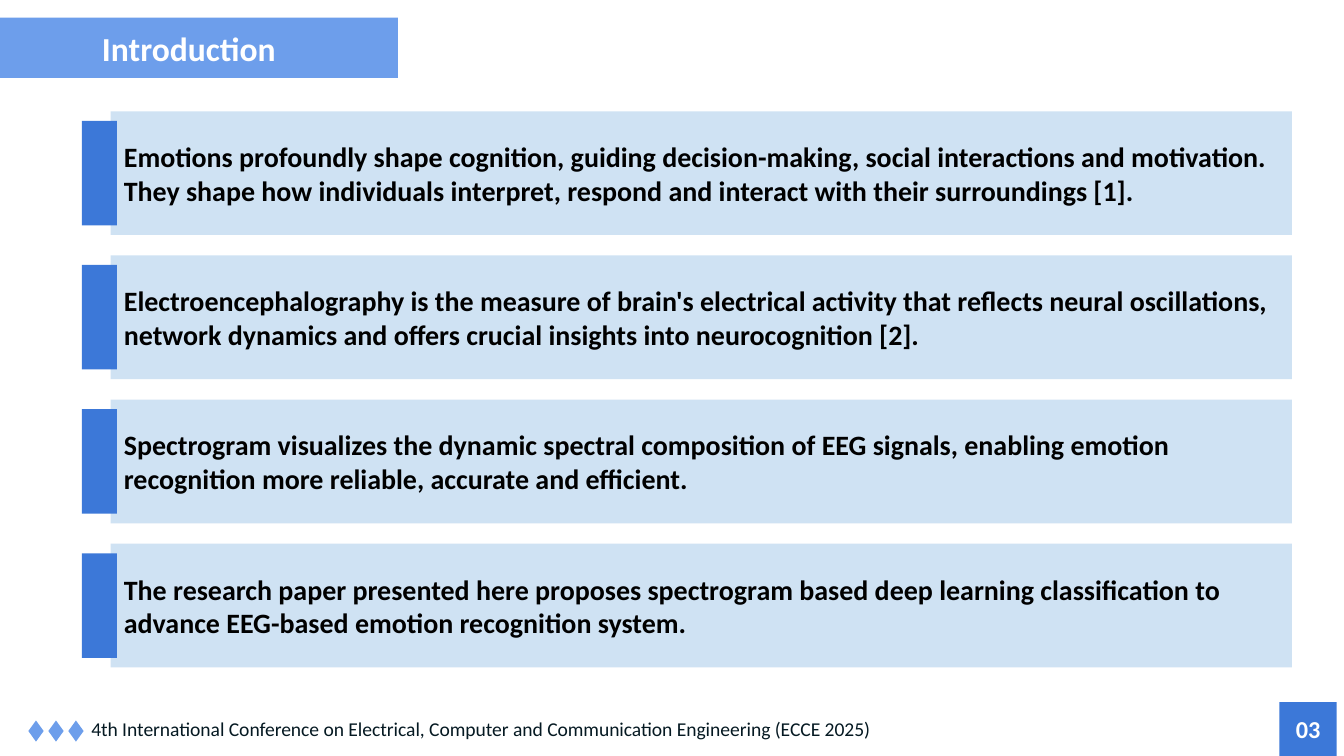
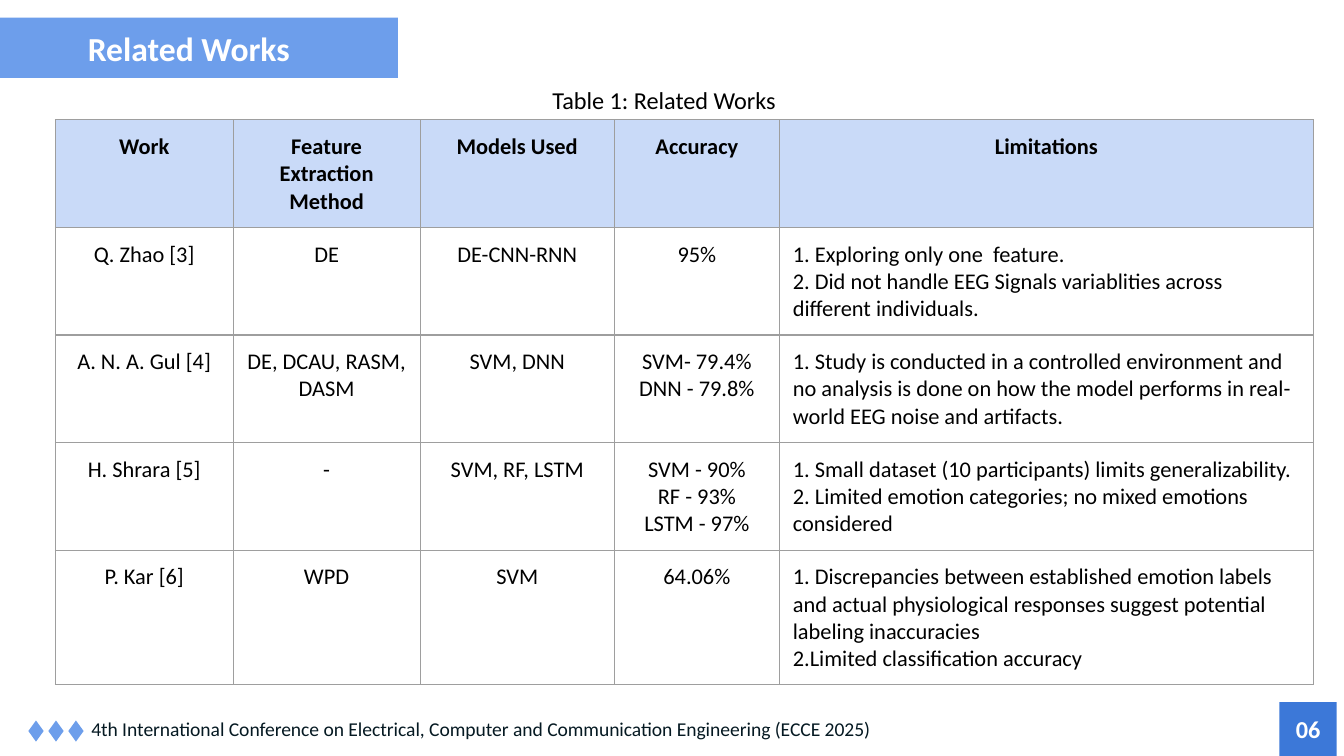
from dataclasses import dataclass

from lxml import etree
from pptx import Presentation
from pptx.dml.color import RGBColor
from pptx.enum import shapes, text
from pptx.oxml import ns
from pptx.util import Pt


@dataclass(frozen=True)
class Theme:
    font: str = "Calibri"
    strong: str = "3C78D8"
    band: str = "6D9EEB"
    card: str = "CFE2F3"
    header: str = "C9DAF8"
    grid: str = "9E9E9E"
    white: str = "FFFFFF"
    ink: str = "000000"
    footer_ink: str = "051922"
    title_size: float = 18
    card_size: float = 15
    label_size: float = 13
    table_size: float = 12
    footer_size: float = 10.5
    inset: float = 7.2
    grid_width: float = 0.75


@dataclass(frozen=True)
class Box:
    left: float
    top: float
    width: float
    height: float

    def inner(self, dx, dy, width, height):
        return Box(self.left + dx, self.top + dy, width, height)

    def points(self):
        return [Pt(v) for v in (self.left, self.top, self.width, self.height)]


THEME = Theme()
SLIDE = Box(0, 0, 720, 405)
TITLE = Box(-10.8, 9.4, 224, 32.4)
PAGE_BADGE = Box(685.4, 376.2, 30.7, 28.8)
FOOTER = Box(15.2, 378, 645.6, 27.4)
CARDS = Box(43.9, 59.6, 648.2, 298)
CAPTION = Box(218.2, 38.4, 275, 30.2)
TABLE = Box(29.7, 64.2, 674, 150)

LEFT, CENTER = text.PP_ALIGN.LEFT, text.PP_ALIGN.CENTER
CONFERENCE = ("4th International Conference on Electrical, Computer and "
              "Communication Engineering (ECCE 2025)")
STATEMENTS = [
    "Emotions profoundly shape cognition, guiding decision-making, social "
    "interactions and motivation. They shape how individuals interpret, "
    "respond and interact with their surroundings [1].",
    "Electroencephalography is the measure of brain's electrical activity that "
    "reflects neural oscillations, network dynamics and offers crucial insights "
    "into neurocognition [2].",
    "Spectrogram visualizes the dynamic spectral composition of EEG signals, "
    "enabling emotion recognition more reliable, accurate and efficient.",
    "The research paper presented here proposes spectrogram based deep learning "
    "classification to advance EEG-based emotion recognition system.",
]
COLUMN_WIDTHS = [95.2, 100.2, 104.1, 88.4, 286.1]
RELATED_WORKS = [
    ["Work", "Feature Extraction Method", "Models Used", "Accuracy", "Limitations"],
    ["Q. Zhao [3]", "DE", "DE-CNN-RNN", "95%",
     "1. Exploring only one  feature.\n"
     "2. Did not handle EEG Signals variablities across different individuals."],
    ["A. N. A. Gul [4]", "DE, DCAU, RASM, DASM", "SVM, DNN",
     "SVM- 79.4%\nDNN - 79.8%",
     "1. Study is conducted in a controlled environment and no analysis is done "
     "on how the model performs in real-world EEG noise and artifacts."],
    ["H. Shrara [5]", "-", "SVM, RF, LSTM", "SVM - 90%\nRF - 93%\nLSTM - 97%",
     "1. Small dataset (10 participants) limits generalizability.\n"
     "2. Limited emotion categories; no mixed emotions considered"],
    ["P. Kar [6]", "WPD", "SVM", "64.06%",
     "1. Discrepancies between established emotion labels and actual "
     "physiological responses suggest potential labeling inaccuracies\n"
     "2.Limited classification accuracy"],
]


def rgb(value):
    return RGBColor.from_string(value)


def write(frame, words, size, color, bold=False, align=LEFT):
    frame.text = words
    for paragraph in frame.paragraphs:
        paragraph.alignment = align
        for run in paragraph.runs:
            run.font.name = THEME.font
            run.font.size = Pt(size)
            run.font.bold = bold
            run.font.color.rgb = rgb(color)


def set_margins(holder):
    holder.margin_left = holder.margin_right = Pt(THEME.inset)
    holder.margin_top = holder.margin_bottom = Pt(THEME.inset)


def add_block(parent, box, fill, kind=shapes.MSO_SHAPE.RECTANGLE):
    block = parent.add_shape(kind, *box.points())
    block.shadow.inherit = False
    block.fill.solid()
    block.fill.fore_color.rgb = rgb(fill)
    block.line.fill.background()
    return block


def add_panel(parent, box, fill, words, size, color, align=CENTER):
    """Filled rectangle with bold, vertically centred text."""
    frame = add_block(parent, box, fill).text_frame
    set_margins(frame)
    frame.word_wrap = True
    frame.vertical_anchor = text.MSO_ANCHOR.MIDDLE
    write(frame, words, size, color, True, align)


def add_label(parent, box, words, size, color, align=LEFT):
    frame = parent.add_textbox(*box.points()).text_frame
    set_margins(frame)
    frame.word_wrap = True
    frame.auto_size = text.MSO_AUTO_SIZE.SHAPE_TO_FIT_TEXT
    write(frame, words, size, color, align=align)


def add_footer(slide, box):
    footer = slide.shapes.add_group_shape().shapes
    for i in range(3):
        add_block(footer, box.inner(i * 10.7, 8, 8.2, 11.3), THEME.band,
                  shapes.MSO_SHAPE.DIAMOND)
    add_label(footer, box.inner(26.6, 0, box.width - 26.6, box.height),
              CONFERENCE, THEME.footer_size, THEME.footer_ink)


def add_slide(deck, title, number):
    """Blank slide with the shared title band, page badge and footer."""
    slide = deck.slides.add_slide(deck.slide_layouts[6])
    slide.background.fill.solid()
    slide.background.fill.fore_color.rgb = rgb(THEME.white)
    add_panel(slide.shapes, PAGE_BADGE, THEME.strong, number,
              THEME.label_size, THEME.white)
    add_panel(slide.shapes, TITLE, THEME.band, title,
              THEME.title_size, THEME.white)
    add_footer(slide, FOOTER)
    return slide


def add_statement_cards(slide, box, statements):
    """Stack equal cards down the box, each with an accent on its left edge."""
    card_height, accent_height, indent = 66.3, 56, 15.4
    pitch = (box.height - card_height) / (len(statements) - 1)
    for i, statement in enumerate(statements):
        top = i * pitch
        add_panel(slide.shapes,
                  box.inner(indent, top, box.width - indent, card_height),
                  THEME.card, statement, THEME.card_size, THEME.ink, LEFT)
        accent_top = top + (card_height - accent_height) / 2
        add_block(slide.shapes, box.inner(0, accent_top, 18.7, accent_height),
                  THEME.strong)


def set_borders(cell):
    properties = cell._tc.get_or_add_tcPr()
    for position, side in enumerate(("lnL", "lnR", "lnT", "lnB")):
        line = etree.Element(ns.qn(f"a:{side}"), w=str(Pt(THEME.grid_width)))
        fill = etree.SubElement(line, ns.qn("a:solidFill"))
        etree.SubElement(fill, ns.qn("a:srgbClr"), val=THEME.grid)
        properties.insert(position, line)


def add_works_table(slide, box, rows):
    works = slide.shapes.add_table(len(rows), len(rows[0]), *box.points()).table
    works.horz_banding = False
    for column, width in zip(works.columns, COLUMN_WIDTHS):
        column.width = Pt(width)
    for r, row in enumerate(rows):
        is_header = r == 0
        for c, words in enumerate(row):
            cell = works.cell(r, c)
            set_margins(cell)
            is_limitation = not is_header and c == len(row) - 1
            write(cell.text_frame, words, THEME.table_size, THEME.ink,
                  is_header, LEFT if is_limitation else CENTER)
            if is_header:
                cell.fill.solid()
                cell.fill.fore_color.rgb = rgb(THEME.header)
            else:
                cell.fill.background()
            set_borders(cell)


def build_introduction(deck):
    slide = add_slide(deck, "Introduction", "03")
    add_statement_cards(slide, CARDS, STATEMENTS)


def build_related_works(deck):
    slide = add_slide(deck, "Related Works", "06")
    add_works_table(slide, TABLE, RELATED_WORKS)
    add_label(slide.shapes, CAPTION, "Table 1: Related Works",
              THEME.label_size, THEME.ink, CENTER)


def main():
    deck = Presentation()
    deck.slide_width, deck.slide_height = Pt(SLIDE.width), Pt(SLIDE.height)
    build_introduction(deck)
    build_related_works(deck)
    deck.save("out.pptx")


if __name__ == "__main__":
    main()
